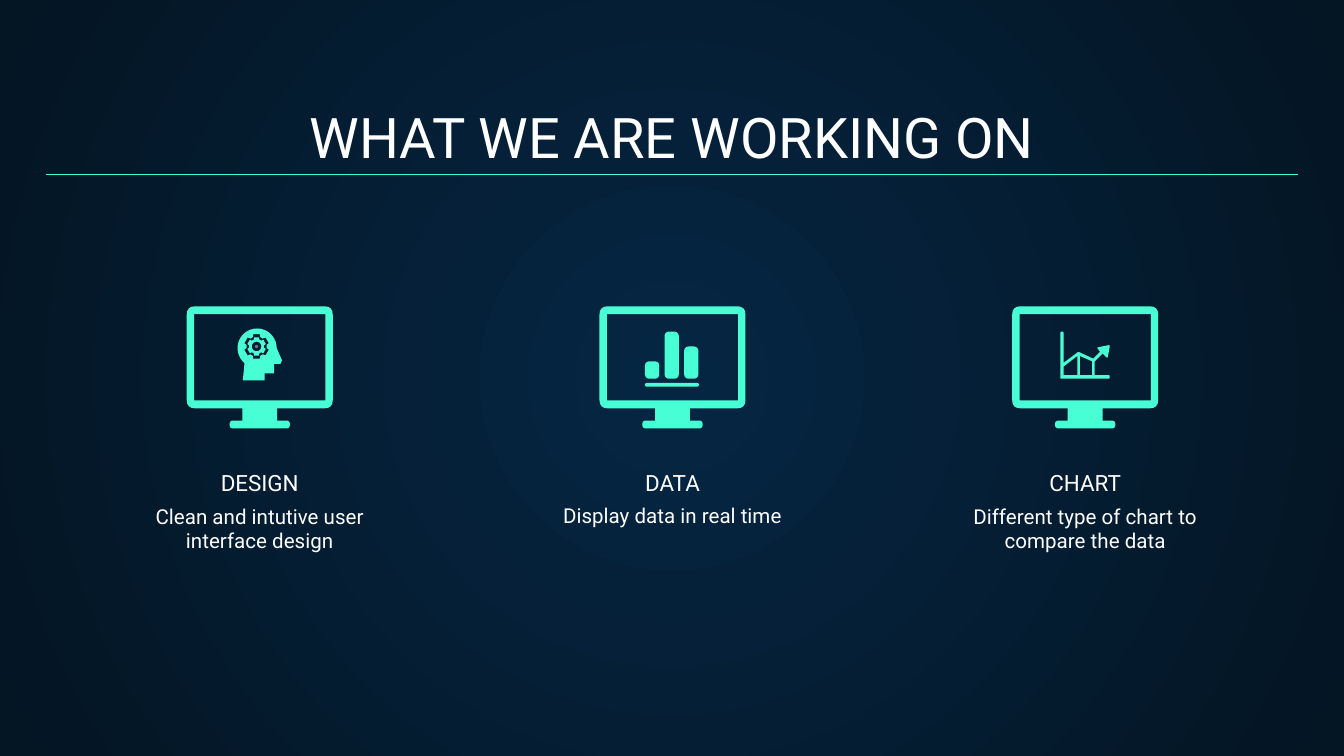
from dataclasses import dataclass
from math import cos, hypot, radians, sin

from lxml.etree import SubElement
from pptx import Presentation
from pptx.dml.color import RGBColor as Color
from pptx.enum.shapes import MSO_CONNECTOR as Connector, MSO_SHAPE as Shape
from pptx.enum.text import MSO_ANCHOR as Anchor, PP_ALIGN as Align
from pptx.oxml.ns import qn
from pptx.util import Cm, Pt


@dataclass(frozen=True)
class Theme:
    font: str = "Roboto"
    title_size: int = 30
    label_size: int = 12
    body_size: int = 11
    text: str = "FFFFFF"
    accent: str = "48FFD5"
    hub: str = "5F7D95"
    glow: str = "052643"
    edge: str = "041523"


def polar(center, radius, degrees):
    angle = radians(degrees)
    return center[0] + radius * cos(angle), center[1] + radius * sin(angle)


def circle(center, radius):
    return [polar(center, radius, degrees) for degrees in range(0, 360, 15)]


def gear(center, outer, root):
    """Outline of a wheel with six teeth."""
    profile = [(-15, outer), (15, outer), (22, root), (38, root)]
    return [polar(center, radius, tooth + turn)
            for tooth in range(-90, 270, 60) for turn, radius in profile]


def rounded(corners):
    """Turn (x, y, radius) corners into points along curved corners."""
    points = []
    for index, (x, y, radius) in enumerate(corners):
        neighbours = corners[index - 1], corners[(index + 1) % len(corners)]
        (ax, ay), (bx, by) = [
            (x + (nx - x) * radius / hypot(nx - x, ny - y),
             y + (ny - y) * radius / hypot(nx - x, ny - y))
            for nx, ny, _ in neighbours]
        for t in (0, 0.25, 0.5, 0.75, 1) if radius else (0,):
            points.append(tuple(
                (1 - t) ** 2 * a + 2 * t * (1 - t) * c + t ** 2 * b
                for a, c, b in ((ax, x, bx), (ay, y, by))))
    return points


class SlideBuilder:
    def __init__(self, slide, theme):
        self.slide = slide
        self.shapes = slide.shapes
        self.theme = theme

    def background(self):
        fill = self.slide.background.fill
        fill.gradient()
        for stop, color in zip(fill.gradient_stops,
                               (self.theme.glow, self.theme.edge)):
            stop.color.rgb = Color.from_string(color)
        gradient = self.slide.element.find(".//" + qn("a:gradFill"))
        gradient.remove(gradient.find(qn("a:lin")))
        focus = SubElement(gradient, qn("a:path"), {"path": "circle"})
        SubElement(focus, qn("a:fillToRect"),
                   dict.fromkeys(("l", "t", "r", "b"), "50000"))

    def text(self, words, left, top, width, height, size, anchor=Anchor.TOP):
        box = self.shapes.add_textbox(Cm(left), Cm(top), Cm(width), Cm(height))
        frame = box.text_frame
        frame.word_wrap = True
        frame.vertical_anchor = anchor
        frame.margin_left = frame.margin_right = Cm(0.25)
        frame.margin_top = frame.margin_bottom = Cm(0.25)
        paragraph = frame.paragraphs[0]
        paragraph.text = words
        paragraph.alignment = Align.CENTER
        paragraph.font.name = self.theme.font
        paragraph.font.size = Pt(size)
        paragraph.font.color.rgb = Color.from_string(self.theme.text)

    def rule(self, left, right, y):
        line = self.shapes.add_connector(
            Connector.STRAIGHT, Cm(left), Cm(y), Cm(right), Cm(y))
        line.line.color.rgb = Color.from_string(self.theme.accent)
        line.line.width = Pt(0.75)
        SubElement(line.element.spPr, qn("a:effectLst"))

    def paint(self, shape, color=None):
        shape.shadow.inherit = False
        shape.fill.solid()
        shape.fill.fore_color.rgb = Color.from_string(color or self.theme.accent)
        shape.line.fill.background()

    def preset(self, kind, left, top, width, height, color=None):
        shape = self.shapes.add_shape(
            kind, Cm(left), Cm(top), Cm(width), Cm(height))
        self.paint(shape, color)
        return shape

    def outline(self, origin, *contours):
        """Draw one filled outline; contours after the first are holes."""
        placed = [[(Cm(origin[0] + x), Cm(origin[1] + y)) for x, y in contour]
                  for contour in contours]
        builder = self.shapes.build_freeform(*placed[0][0])
        builder.add_line_segments(placed[0][1:])
        for contour in placed[1:]:
            builder.move_to(*contour[0])
            builder.add_line_segments(contour[1:])
        self.paint(builder.convert_to_shape())

    def monitor(self, origin):
        right = [(1.38, 0, 0.16), (1.38, 1.93, 0.16), (0.33, 1.93, 0),
                 (0.33, 2.16, 0), (0.57, 2.16, 0.07), (0.57, 2.31, 0.07)]
        left = [(-x, y, radius) for x, y, radius in reversed(right)]
        screen = [(-1.24, 0.15), (1.24, 0.15), (1.24, 1.78), (-1.24, 1.78)]
        self.outline(origin, rounded(right + left), screen)

    def head_icon(self, origin):
        middle = (-0.06, 0.76)
        skull = [polar((-0.05, 0.79), 0.37, degrees)
                 for degrees in range(0, -231, -10)]
        face = [(-0.32, 1.4), (0.09, 1.4), (0.09, 1.27), (0.27, 1.27),
                (0.27, 1.09), (0.39, 1.09), (0.42, 1.02)]
        self.outline(origin, skull + face, gear(middle, 0.24, 0.19))
        self.outline(origin, gear(middle, 0.18, 0.14), circle(middle, 0.09))
        radius = 0.03
        self.preset(Shape.OVAL, origin[0] + middle[0] - radius,
                    origin[1] + middle[1] - radius, 2 * radius, 2 * radius,
                    self.theme.hub)

    def bars_icon(self, origin):
        left, bottom = origin[0] - 0.52, origin[1] + 1.37
        base = self.preset(Shape.ROUNDED_RECTANGLE, left, bottom + 0.08, 1.02, 0.07)
        base.adjustments[0] = 0.5
        for index, height in enumerate((0.33, 0.89, 0.61)):
            bar = self.preset(Shape.ROUNDED_RECTANGLE, left + 0.37 * index,
                              bottom - height, 0.27, height)
            bar.adjustments[0] = 0.3

    def trend_icon(self, origin):
        graph = [(-0.47, 0.48, 0.02), (-0.41, 0.48, 0.02), (-0.41, 1.07, 0),
                 (-0.13, 0.86, 0.02), (0.15, 0.99, 0), (0.28, 0.86, 0),
                 (0.22, 0.78, 0.03), (0.47, 0.73, 0.04), (0.42, 0.99, 0.04),
                 (0.33, 0.89, 0), (0.18, 1.04, 0), (0.18, 1.3, 0),
                 (0.46, 1.3, 0.02), (0.46, 1.37, 0.02), (-0.47, 1.37, 0.02)]
        first_gap = [(-0.15, 0.94), (-0.15, 1.3), (-0.41, 1.3), (-0.41, 1.14)]
        second_gap = [(-0.1, 0.94), (0.13, 1.04), (0.13, 1.3), (-0.1, 1.3)]
        self.outline(origin, rounded(graph), first_gap, second_gap)


def main():
    presentation = Presentation()
    presentation.slide_width, presentation.slide_height = Cm(25.4), Cm(14.29)
    slide = presentation.slides.add_slide(presentation.slide_layouts[6])
    theme = Theme()
    builder = SlideBuilder(slide, theme)

    builder.background()
    builder.text("WHAT WE ARE WORKING ON", 0.86, 1.78, 23.68, 1.68,
                 theme.title_size, Anchor.BOTTOM)
    builder.rule(0.86, 24.54, 3.3)

    columns = [
        ("DESIGN", "Clean and intutive user interface design", builder.head_icon),
        ("DATA", "Display data in real time", builder.bars_icon),
        ("CHART", "Different type of chart to compare the data", builder.trend_icon),
    ]
    for index, (label, description, draw_icon) in enumerate(columns):
        center = 4.91 + 7.8 * index
        origin = (center, 5.79)
        builder.monitor(origin)
        draw_icon(origin)
        builder.text(label, center - 2.88, 9.09, 5.76, 0.53,
                     theme.label_size, Anchor.BOTTOM)
        builder.text(description, center - 2.63, 9.27, 5.26, 1.4, theme.body_size)

    presentation.save("out.pptx")


if __name__ == "__main__":
    main()
